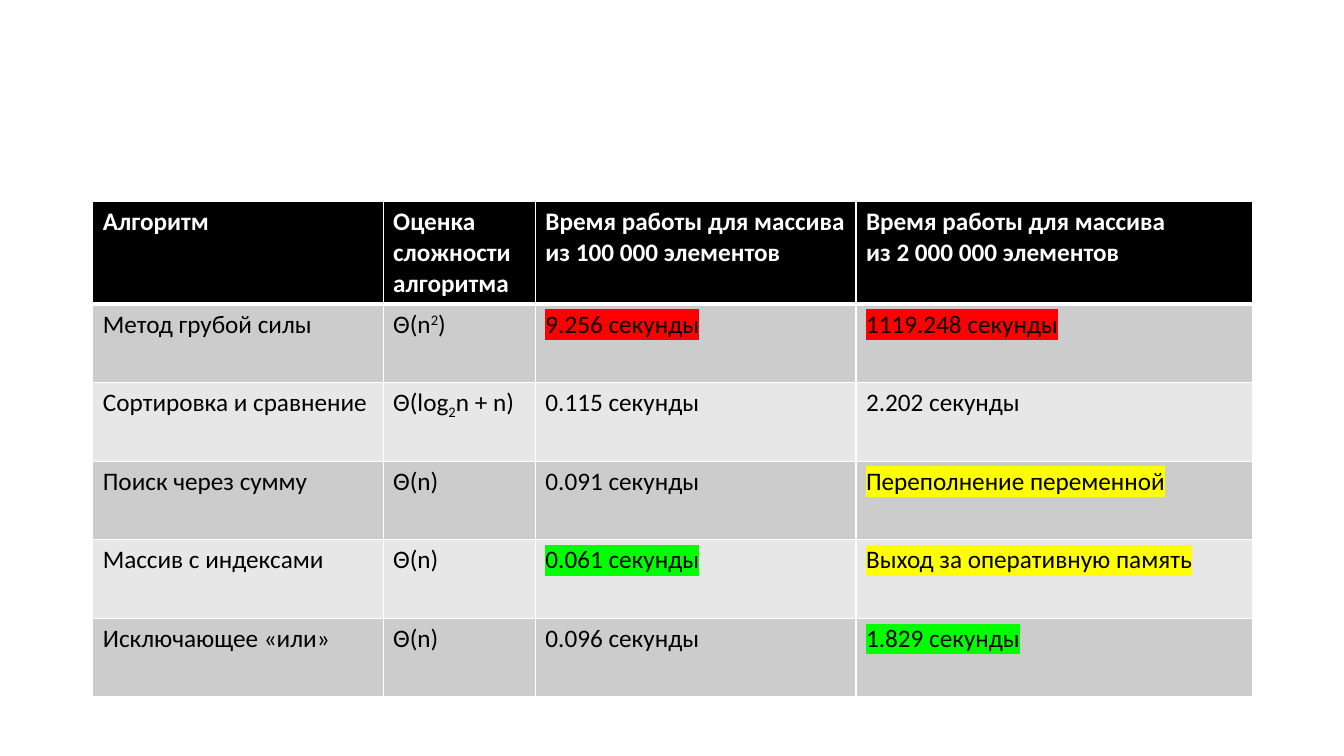
import pptx
import pptx.util
import pptx.dml.color
import pptx.oxml
import pptx.oxml.ns
from lxml import etree

Inches = pptx.util.Inches
RGBColor = pptx.dml.color.RGBColor
qn = pptx.oxml.ns.qn

BLACK = RGBColor(0x00, 0x00, 0x00)
WHITE = RGBColor(0xFF, 0xFF, 0xFF)
DARK_BAND = RGBColor(0xCC, 0xCC, 0xCC)
LIGHT_BAND = RGBColor(0xE7, 0xE7, 0xE7)
RED = RGBColor(0xFF, 0x00, 0x00)
YELLOW = RGBColor(0xFF, 0xFF, 0x00)
GREEN = RGBColor(0x00, 0xFF, 0x00)


def add_run(p, text, color=BLACK, bold=False, baseline=0, highlight=None):
    r = p.add_run()
    r.text = text
    r.font.size = pptx.util.Pt(18)
    r.font.bold = bold
    r.font.color.rgb = color
    r.font.name = "Calibri"
    rPr = r.font._element
    if baseline:
        rPr.set("baseline", str(baseline * 1000))
    if highlight is not None:
        mark = etree.Element(qn("a:highlight"))
        etree.SubElement(mark, qn("a:srgbClr"), val=str(highlight))
        rPr.find(qn("a:solidFill")).addnext(mark)


def set_borders(cell, widths):
    tcPr = cell._tc.get_or_add_tcPr()
    for i, (side, width) in enumerate(widths.items()):
        ln = etree.Element(qn("a:ln" + side), w=str(pptx.util.Pt(width)))
        fill = etree.SubElement(ln, qn("a:solidFill"))
        etree.SubElement(fill, qn("a:srgbClr"), val=str(WHITE))
        tcPr.insert(i, ln)


header = ["Алгоритм", "Оценка сложности алгоритма",
          "Время работы для массива из 100 000 элементов",
          "Время работы для массива\nиз 2 000 000 элементов"]
results = [
    ["Метод грубой силы", [("Θ(n", 0), ("2", 30), (") ", 0)],
     "9.256 секунды", "1119.248 секунды"],
    ["Сортировка и сравнение", [("Θ(log", 0), ("2", -25), ("n + n)", 0)],
     "0.115 секунды", "2.202 секунды"],
    ["Поиск через сумму", "Θ(n)", "0.091 секунды", "Переполнение переменной"],
    ["Массив с индексами", "Θ(n)", "0.061 секунды", "Выход за оперативную память"],
    ["Исключающее «или»", "Θ(n)", "0.096 секунды", "1.829 секунды"],
]
highlights = {(1, 2): RED, (1, 3): RED, (3, 3): YELLOW,
              (4, 2): GREEN, (4, 3): YELLOW, (5, 3): GREEN}
rows = [header] + results
col_widths = [2.88, 1.51, 3.18, 3.93]

prs = pptx.Presentation()
prs.slide_width = Inches(13.33)
prs.slide_height = Inches(7.5)
s = prs.slides.add_slide(prs.slide_layouts[6])

frame = s.shapes.add_table(len(rows), len(col_widths), Inches(0.92), Inches(2),
                           Inches(11.5), Inches(4.89))
table = frame.table
for column, width in zip(table.columns, col_widths):
    column.width = Inches(width)
for row in table.rows:
    row.height = Inches(0.78)
frame.height = Inches(4.89)

for i, row in enumerate(rows):
    is_header = i == 0
    for j, content in enumerate(row):
        cell = table.cell(i, j)
        cell.fill.solid()
        cell.fill.fore_color.rgb = BLACK if is_header else DARK_BAND if i % 2 else LIGHT_BAND
        set_borders(cell, {"L": 1, "R": 1, "T": 3 if i == 1 else 1, "B": 3 if is_header else 1})
        tf = cell.text_frame
        if isinstance(content, list):
            for text, baseline in content:
                add_run(tf.paragraphs[0], text, baseline=baseline)
        else:
            for k, line in enumerate(content.split("\n")):
                p = tf.add_paragraph() if k else tf.paragraphs[0]
                add_run(p, line, color=WHITE if is_header else BLACK, bold=is_header,
                        highlight=highlights.get((i, j)))

prs.save("out.pptx")
